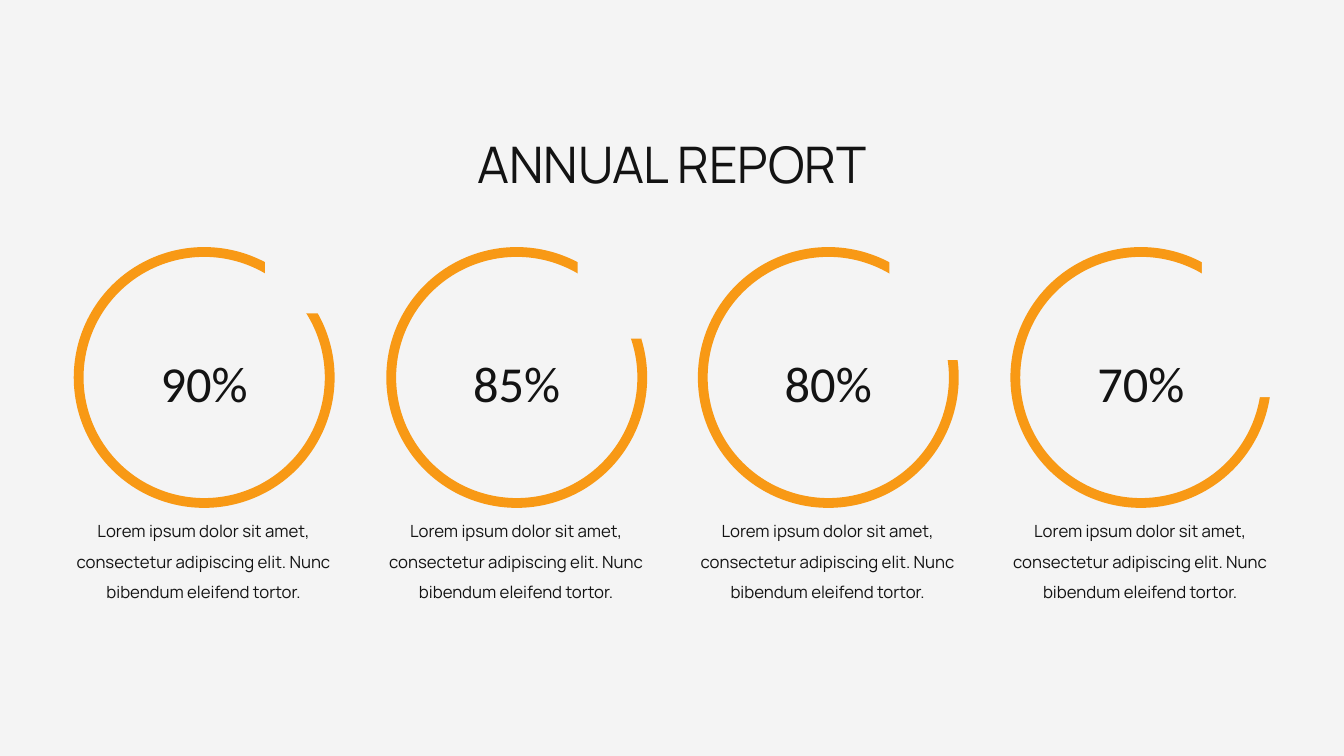
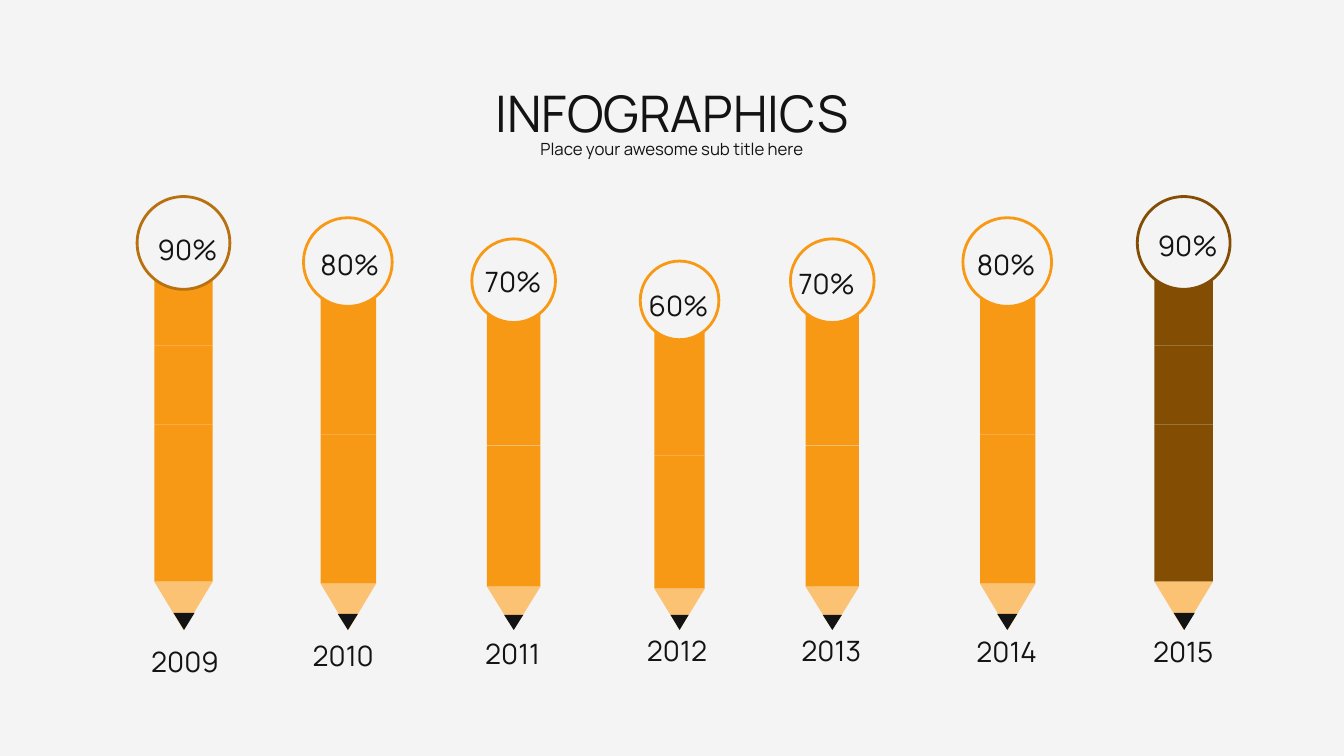
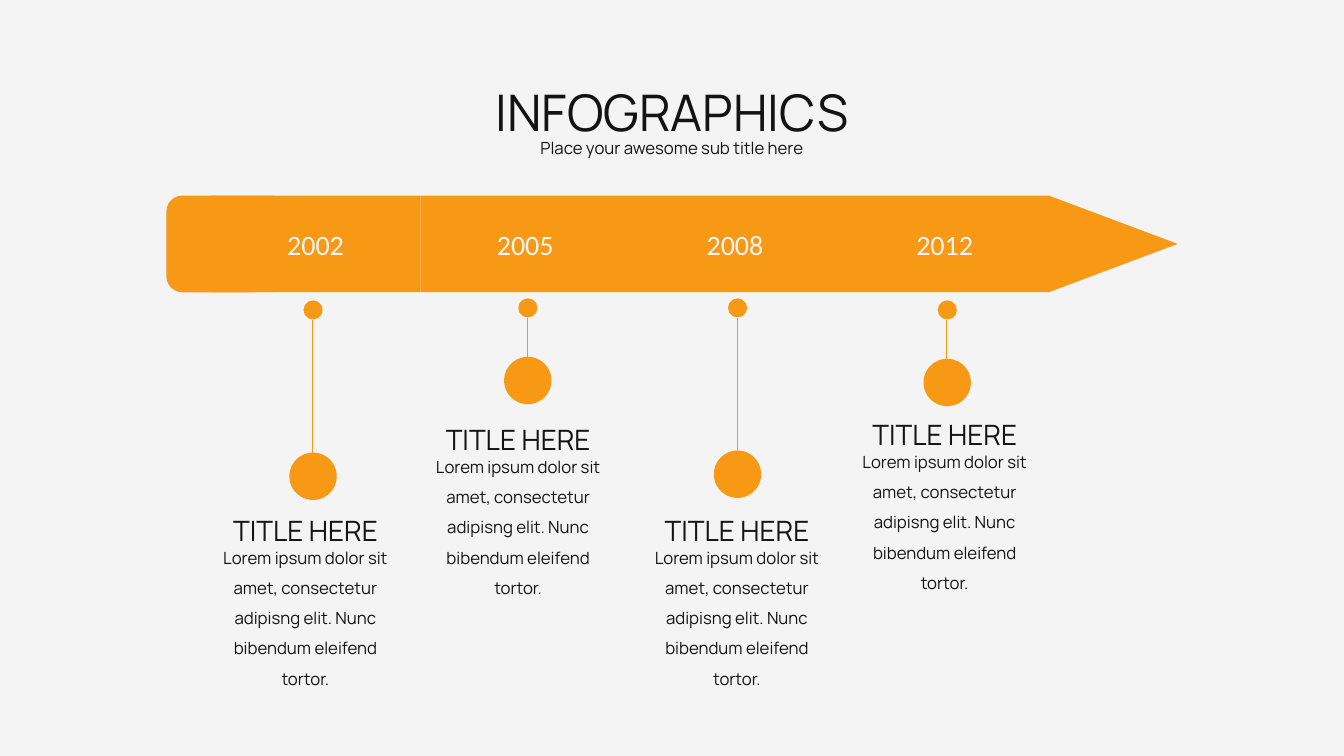
import pptx
import pptx.dml.color
import pptx.enum.shapes
import pptx.enum.text
import pptx.oxml.ns
import pptx.util
from lxml import etree

PX = 9144  # EMU per px, 100 px to the inch
COLORS = {
    "paper": "F4F4F4",
    "ink": "131313",
    "orange": "F89915",
    "brown": "834E04",
    "bronze": "B77110",
    "wood": "FBC273",
}
SHAPE = pptx.enum.shapes.MSO_SHAPE
ANCHOR = pptx.enum.text.MSO_ANCHOR
RGB = {name: pptx.dml.color.RGBColor.from_string(c) for name, c in COLORS.items()}


def add_shape(s, kind, box, fill, line=None, line_pt=0, rotation=0):
    sp = s.shapes.add_shape(kind, *[n * PX for n in box])
    sp.shadow.inherit = False
    sp.rotation = rotation
    sp.fill.solid()
    sp.fill.fore_color.rgb = RGB[fill]
    if line:
        sp.line.color.rgb = RGB[line]
        sp.line.width = pptx.util.Pt(line_pt)
    else:
        sp.line.fill.background()
    return sp


def put_text(sp, box, text, size, font="Manrope", color="ink", spacing=1.5, anchor=ANCHOR.TOP):
    """Place a text box, placeholder or shape and fill it with one centred paragraph."""
    sp.left, sp.top, sp.width, sp.height = [n * PX for n in box]
    tf = sp.text_frame
    tf.word_wrap = True
    tf.auto_size = pptx.enum.text.MSO_AUTO_SIZE.NONE
    tf.vertical_anchor = anchor
    tf.text = text
    p = tf.paragraphs[0]
    p.alignment = pptx.enum.text.PP_ALIGN.CENTER
    p.line_spacing = spacing
    r = p.runs[0]
    r.font.size = pptx.util.Pt(size)
    r.font.name = font
    r.font.color.rgb = RGB[color]


prs = pptx.Presentation()
prs.slide_width = pptx.util.Inches(13.33)
prs.slide_height = pptx.util.Inches(7.5)
background = prs.slide_master.background.fill
background.solid()
background.fore_color.rgb = RGB["paper"]

# Shared title and subtitle
slides = []
for title, top, subtitle in [
    ("ANNUAL REPORT", 97, None),
    ("INFOGRAPHICS", 46, "Place your awesome sub title here"),
    ("INFOGRAPHICS", 45, "Place your awesome sub title here"),
]:
    s = prs.slides.add_slide(prs.slide_layouts[5])
    put_text(s.shapes.title, (62, top, 1209, 101), title, 36)
    if subtitle:
        put_text(s.shapes.add_textbox(0, 0, 0, 0), (62, top + 77, 1209, 31), subtitle, 12)
    slides.append(s)
report, pencils, timeline = slides

# Slide 1: rings, each opened by a paper-coloured cover
RING = 249
for i, (percent, cover_w, cover_h) in enumerate(
    [("90%", 63, 61), ("85%", 63, 86), ("80%", 79, 107), ("70%", 78, 144)]
):
    x = round(78 + i * 929 / 3)
    add_shape(report, SHAPE.OVAL, (x, 250, RING, RING), "paper", "orange", 7)
    add_shape(report, SHAPE.RECTANGLE, (x + 185, 250, cover_w, cover_h), "paper")
    put_text(report.shapes.add_textbox(0, 0, 0, 0), (x, 314, RING, 101), percent, 36, "Calibri")
    put_text(
        report.shapes.add_textbox(0, 0, 0, 0),
        (x - 16, 502, 280, 101),
        "Lorem ipsum dolor sit amet, consectetur adipiscing elit. Nunc bibendum eleifend tortor.",
        12,
    )

# Slide 2: pencils standing on one line
PENCIL_BOTTOM = 625
# percent: body width, segment height, wood height, lead width, lead height, badge size, badge top
PENCIL_SIZES = {
    "90%": (58, 78, 48, 21, 17, 92, 195),
    "80%": (55, 74, 46, 20, 16, 88, 216),
    "70%": (53, 70, 43, 19, 15, 83, 237),
    "60%": (50, 66, 41, 18, 15, 78, 259),
}
# year, percent, centre, body colour, badge line, percent label corner, year label corner
for year, percent, cx, body, ring, percent_at, year_at in [
    ("2009", "90%", 182, "orange", "bronze", (140, 209), (125, 618)),
    ("2010", "80%", 345, "orange", "orange", (301, 224), (282, 612)),
    ("2011", "70%", 509, "orange", "orange", (463, 241), (450, 610)),
    ("2012", "60%", 674, "orange", "orange", (627, 265), (613, 607)),
    ("2013", "70%", 825, "orange", "orange", (774, 243), (766, 607)),
    ("2014", "80%", 999, "orange", "orange", (952, 224), (940, 608)),
    ("2015", "90%", 1174, "brown", "brown", (1132, 205), (1115, 608)),
]:
    width, segment, wood, lead_w, lead_h, badge, badge_top = PENCIL_SIZES[percent]
    left = cx - width // 2
    wood_top = PENCIL_BOTTOM - wood
    for n in range(4, 0, -1):
        add_shape(pencils, SHAPE.RECTANGLE, (left, wood_top - n * segment, width, segment), body)
    add_shape(pencils, SHAPE.ISOSCELES_TRIANGLE, (left, wood_top, width, wood), "wood", rotation=180)
    add_shape(
        pencils,
        SHAPE.ISOSCELES_TRIANGLE,
        (cx - lead_w // 2, PENCIL_BOTTOM - lead_h, lead_w, lead_h),
        "ink",
        rotation=180,
    )
    add_shape(pencils, SHAPE.OVAL, (cx - badge // 2, badge_top, badge, badge), "paper", ring, 2)
    put_text(pencils.shapes.add_textbox(0, 0, 0, 0), (*percent_at, 92, 61), percent, 20)
    put_text(pencils.shapes.add_textbox(0, 0, 0, 0), (*year_at, 117, 61), year, 20)

# Slide 3: a lying pencil with dated segments and their notes
BAND_TOP, BAND_H, SEGMENT = 194, 96, 208
DOT, DISC = 19, 47
add_shape(timeline, SHAPE.ROUNDED_RECTANGLE, (165, BAND_TOP, 120, BAND_H), "orange")
add_shape(timeline, SHAPE.ISOSCELES_TRIANGLE, (1056, 178, BAND_H, 128), "orange", rotation=90)
# year, centre of the pin, dot top, disc top, note corner
for i, (year, cx, dot_top, disc_top, note_x, note_y) in enumerate([
    ("2002", 310, 298, 449, 200, 488),
    ("2005", 523, 296, 354, 411, 398),
    ("2008", 731, 296, 447, 628, 488),
    ("2012", 939, 298, 356, 834, 393),
]):
    box = (209 + i * SEGMENT, BAND_TOP, SEGMENT, BAND_H)
    sp = add_shape(timeline, SHAPE.RECTANGLE, box, "orange")
    put_text(sp, box, year, 20, "Calibri", "paper", 1.0, ANCHOR.MIDDLE)

    line = timeline.shapes.add_connector(
        pptx.enum.shapes.MSO_CONNECTOR.STRAIGHT,
        cx * PX, disc_top * PX, cx * PX, (dot_top + DOT) * PX,
    )
    line.line.color.rgb = RGB["orange"]
    line.line.width = pptx.util.Pt(0.5)
    etree.SubElement(line._element.spPr, pptx.oxml.ns.qn("a:effectLst"))
    for size, top in [(DOT, dot_top), (DISC, disc_top)]:
        add_shape(timeline, SHAPE.OVAL, (cx - size // 2, top, size, size), "orange")

    put_text(timeline.shapes.add_textbox(0, 0, 0, 0), (note_x, note_y, 206, 61), "TITLE HERE", 20)
    put_text(
        timeline.shapes.add_textbox(0, 0, 0, 0),
        (note_x, note_y + 40, 206, 162),
        "Lorem ipsum dolor sit amet, consectetur adipisng elit. Nunc bibendum eleifend tortor.",
        12,
    )

prs.save("out.pptx")
